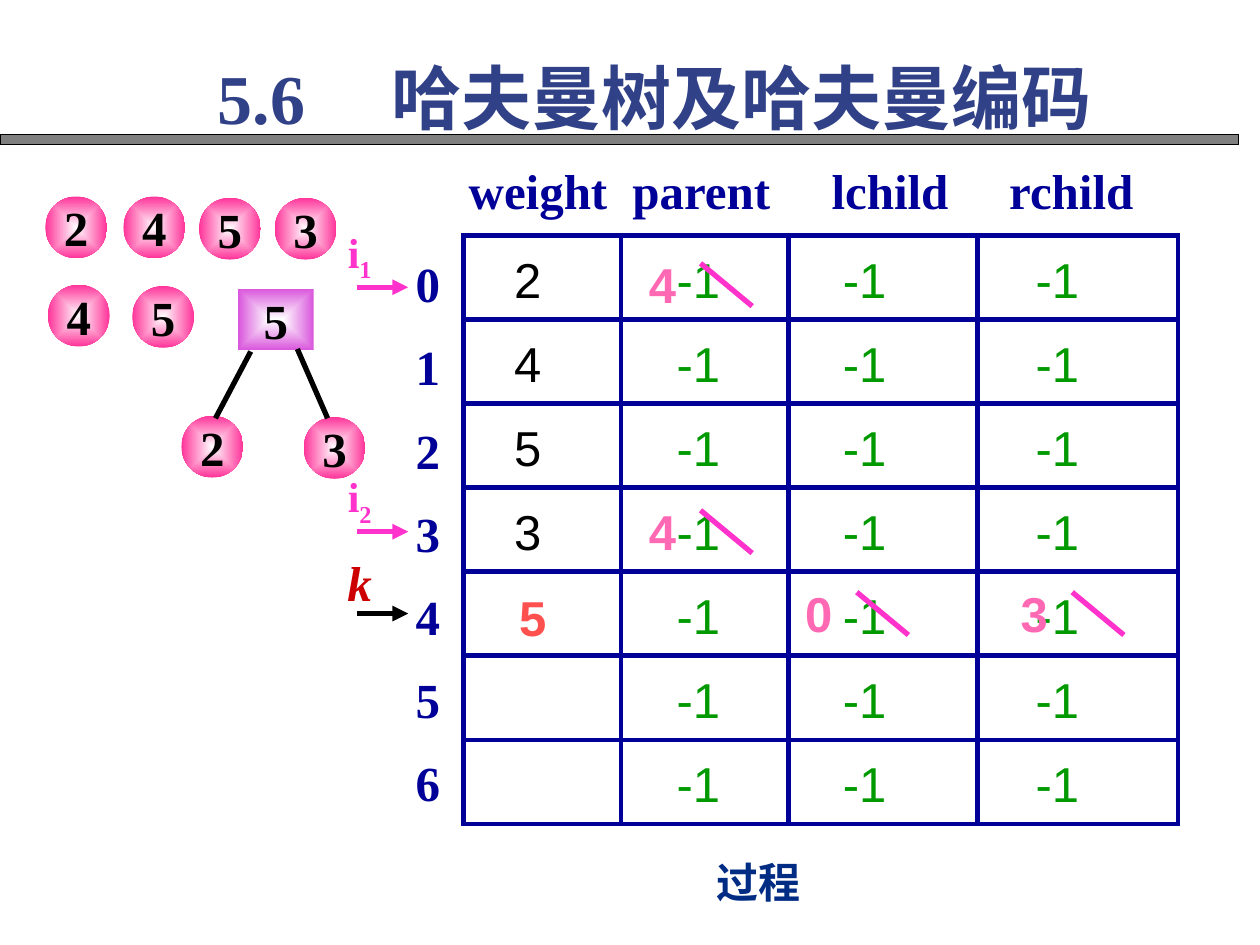
from lxml.etree import SubElement
from pptx import Presentation
from pptx.dml.color import RGBColor
from pptx.enum.shapes import MSO_CONNECTOR, MSO_SHAPE
from pptx.enum.text import MSO_ANCHOR, PP_ALIGN
from pptx.oxml import parse_xml
from pptx.oxml.ns import nsdecls, qn
from pptx.util import Inches, Pt

NAVY = RGBColor(0x00, 0x00, 0x99)
TITLE = RGBColor(0x31, 0x41, 0x87)
NOTE = RGBColor(0x00, 0x2C, 0x84)
GREEN = RGBColor(0x00, 0x99, 0x00)
PINK = RGBColor(0xFF, 0x69, 0xB4)
MAGENTA = RGBColor(0xFF, 0x33, 0xCC)
ROSE = RGBColor(0xFF, 0x33, 0x99)
VIOLET = RGBColor(0xD9, 0x55, 0xDC)
CORAL = RGBColor(0xFF, 0x50, 0x50)
RED = RGBColor(0xCC, 0x00, 0x00)
GRAY = RGBColor(0x80, 0x80, 0x80)
BLACK = RGBColor(0x00, 0x00, 0x00)
WHITE = RGBColor(0xFF, 0xFF, 0xFF)
SERIF, SANS, HAN = "Times New Roman", "Arial", "Noto Sans CJK SC"

LEFT, TOP, HEIGHT = 3.68, 1.87, 4.67
WIDTHS = [1.25, 1.33, 1.5, 1.59]
INDENTS = [0.4, 0.44, 0.43, 0.46]
WEIGHTS = ["2", "4", "5", "3", "", "", ""]


def write(frame, text, size=28, font=SERIF, color=BLACK, bold=True,
          italic=False, align=PP_ALIGN.LEFT, tabs=(), sub="", pitch=None):
    """Fill a text frame, one paragraph a line; sub is a trailing subscript."""
    frame.word_wrap = True
    frame.vertical_anchor = MSO_ANCHOR.MIDDLE
    frame.margin_left = frame.margin_right = 0
    frame.margin_top = frame.margin_bottom = 0
    for i, line in enumerate(text.split("\n")):
        para = frame.add_paragraph() if i else frame.paragraphs[0]
        para.alignment = align
        para.space_before = Pt(0)
        if pitch:
            para.line_spacing = Pt(pitch)
        if tabs:
            stops = SubElement(para._p.get_or_add_pPr(), qn("a:tabLst"))
            for stop in tabs:
                SubElement(stops, qn("a:tab"), pos=str(Inches(stop)), algn="l")
        for part in filter(None, (line, sub)):
            run = para.add_run()
            run.text = part
            style = run.font
            style.size, style.name = Pt(size), font
            style.bold, style.italic = bold, italic
            style.color.rgb = color
            SubElement(run._r.get_or_add_rPr(), qn("a:ea"), typeface=HAN)
            if part == sub:
                run._r.get_or_add_rPr().set("baseline", "-25000")


def label(slide, text, x, y, w, h, **form):
    box = slide.shapes.add_textbox(Inches(x), Inches(y), Inches(w), Inches(h))
    write(box.text_frame, text, **form)


def stroke(slide, x1, y1, x2, y2, color=BLACK, arrow=False):
    line = slide.shapes.add_connector(
        MSO_CONNECTOR.STRAIGHT, Inches(x1), Inches(y1), Inches(x2), Inches(y2))
    line.line.color.rgb = color
    line.line.width = Pt(3)
    if arrow:
        SubElement(line.line._get_or_add_ln(), qn("a:tailEnd"), type="triangle")
    SubElement(line._element.spPr, qn("a:effectLst"))


def node(slide, text, x, y, w=0.49, kind=MSO_SHAPE.OVAL, color=ROSE):
    """Add a tree node that shades from a white centre to its colour."""
    shape = slide.shapes.add_shape(
        kind, Inches(x), Inches(y), Inches(w), Inches(0.49))
    shape.shadow.inherit = False
    shape.line.fill.background()
    shape.fill.gradient()
    for stop, tint in zip(shape.fill.gradient_stops, (WHITE, color)):
        stop.color.rgb = tint
    grad = shape._element.spPr.find(qn("a:gradFill"))
    grad.replace(grad.find(qn("a:lin")), parse_xml(
        f'<a:path {nsdecls("a")} path="rect"><a:fillToRect l="50000" '
        't="50000" r="50000" b="50000"/></a:path>'))
    write(shape.text_frame, text, align=PP_ALIGN.CENTER)


def border(cell):
    props = cell._tc.get_or_add_tcPr()
    for i, side in enumerate(("lnL", "lnR", "lnT", "lnB")):
        props.insert(i, parse_xml(
            f'<a:{side} {nsdecls("a")} w="{Pt(3)}"><a:solidFill>'
            f'<a:srgbClr val="{NAVY}"/></a:solidFill></a:{side}>'))


def grid(slide):
    table = slide.shapes.add_table(
        len(WEIGHTS), len(WIDTHS), Inches(LEFT), Inches(TOP),
        Inches(sum(WIDTHS)), Inches(HEIGHT)).table
    table.first_row = table.horz_banding = False
    for column, width in zip(table.columns, WIDTHS):
        column.width = Inches(width)
    for r, weight in enumerate(WEIGHTS):
        for c, indent in enumerate(INDENTS):
            cell = table.cell(r, c)
            cell.fill.background()
            border(cell)
            write(cell.text_frame, "-1" if c else weight, font=SANS,
                  color=GREEN if c else BLACK, bold=False)
            cell.vertical_anchor = MSO_ANCHOR.MIDDLE
            cell.margin_left, cell.margin_top = Inches(indent), Inches(0.06)
            cell.margin_right = cell.margin_bottom = 0


def change(slide, text, x, y):
    """Strike out an old value and put the new one to its left."""
    stroke(slide, x + 0.41, y + 0.12, x + 0.82, y + 0.46, MAGENTA)
    label(slide, text, x, y, 0.5, 0.57, font=SANS, color=PINK)


def pointer(slide, text, y, color, ink, **form):
    stroke(slide, 2.83, y, 3.24, y, color, arrow=True)
    label(slide, text, 2.66, y - 0.54, 0.39, 0.57, color=ink,
          align=PP_ALIGN.CENTER, **form)


def heading(slide):
    title = slide.shapes.title
    title.left, title.top = Inches(1.73), Inches(0.38)
    title.width, title.height = Inches(7.5), Inches(0.77)
    write(title.text_frame, "5.6\t哈夫曼树及哈夫曼编码", size=40,
          color=TITLE, tabs=[1.38])
    bar = slide.shapes.add_shape(
        MSO_SHAPE.RECTANGLE, 0, Inches(1.07), Inches(9.83), Inches(0.08))
    bar.shadow.inherit = False
    bar.fill.solid()
    bar.fill.fore_color.rgb = GRAY
    bar.line.color.rgb = BLACK
    bar.line.width = Pt(0.75)


def forest(slide):
    for text, x, y in (("2", 0.36, 1.56), ("4", 0.98, 1.56),
                       ("5", 1.58, 1.57), ("3", 2.18, 1.57),
                       ("4", 0.38, 2.26), ("5", 1.05, 2.27),
                       ("2", 1.44, 3.3), ("3", 2.41, 3.31)):
        node(slide, text, x, y)
    node(slide, "5", 1.89, 2.29, w=0.6, kind=MSO_SHAPE.RECTANGLE, color=VIOLET)
    stroke(slide, 1.99, 2.79, 1.71, 3.32)
    stroke(slide, 2.36, 2.77, 2.6, 3.32)


def main():
    deck = Presentation()
    deck.slide_width, deck.slide_height = Inches(10), Inches(7.5)
    slide = deck.slides.add_slide(deck.slide_layouts[5])
    heading(slide)
    grid(slide)
    label(slide, "weight\tparent\tlchild\trchild", 3.72, 1.22, 5.77, 0.57,
          color=NAVY, tabs=[1.3, 2.88, 4.29])
    label(slide, "\n".join(map(str, range(len(WEIGHTS)))), 3.2, 1.82, 0.39,
          4.62, color=NAVY, align=PP_ALIGN.CENTER, pitch=47.5)
    label(slide, "过程", 5.69, 6.75, 0.8, 0.5, size=24, color=NOTE)
    forest(slide)
    pointer(slide, "i", 2.28, MAGENTA, MAGENTA, size=24, sub="1")
    pointer(slide, "i", 4.22, MAGENTA, MAGENTA, size=24, sub="2")
    pointer(slide, "k", 4.87, BLACK, RED, italic=True)
    label(slide, "5", 4.12, 4.61, 0.5, 0.57, font=SANS, color=CORAL)
    for text, x, y in (("4", 5.15, 1.97), ("4", 5.15, 3.93),
                       ("0", 6.39, 4.58), ("3", 8.1, 4.58)):
        change(slide, text, x, y)
    deck.save("out.pptx")


if __name__ == "__main__":
    main()
